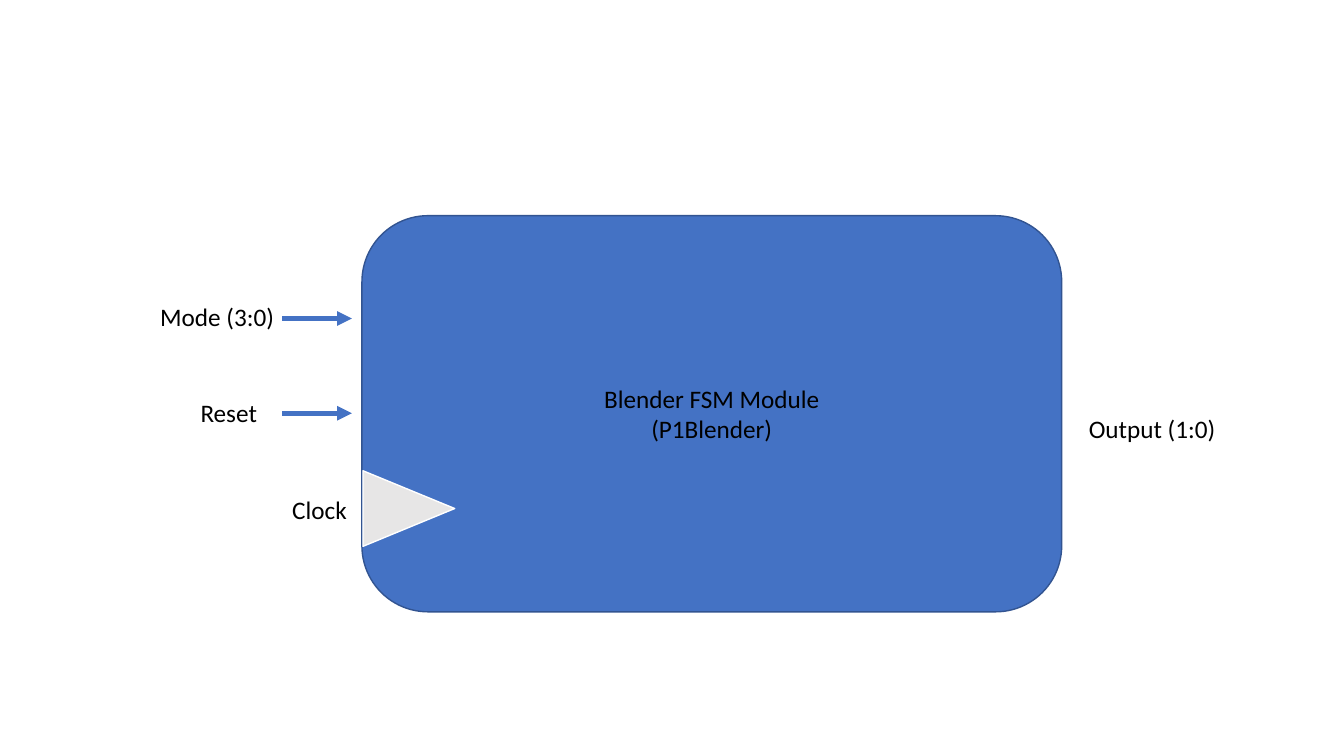
from pptx import Presentation
from pptx.dml.color import RGBColor
from pptx.enum.shapes import MSO_CONNECTOR, MSO_SHAPE
from pptx.enum.text import MSO_AUTO_SIZE, PP_ALIGN
from pptx.oxml.ns import qn
from pptx.util import Inches, Pt
from lxml.etree import SubElement

BLUE, NAVY, GREY, WHITE, BLACK = "4472C4", "325491", "E7E6E6", "FFFFFF", "000000"
LABEL_HEIGHT = 4


def paint(color_format, hex_color):
    color_format.rgb = RGBColor.from_string(hex_color)


class BlockDiagram:
    """Draws on one slide, with every length in grid cells of a tenth of an inch."""

    font_name, font_size = "Calibri", Pt(18)

    def __init__(self, slide):
        self.slide = slide

    def cells(self, *counts):
        return [Inches(count / 10) for count in counts]

    def block(self, preset, col, row, width, height, fill, outline, rotation=0):
        block = self.slide.shapes.add_shape(preset, *self.cells(col, row, width, height))
        block.shadow.inherit = False
        block.rotation = rotation
        block.fill.solid()
        paint(block.fill.fore_color, fill)
        paint(block.line.color, outline)
        block.line.width = Pt(1)

    def label(self, wording, col, row, width, height=LABEL_HEIGHT, align=PP_ALIGN.LEFT):
        label = self.slide.shapes.add_textbox(*self.cells(col, row, width, height))
        frame = label.text_frame
        frame.word_wrap = True
        frame.auto_size = MSO_AUTO_SIZE.SHAPE_TO_FIT_TEXT
        paragraph = frame.paragraphs[0]
        paragraph.text = wording
        paragraph.alignment = align
        paragraph.font.name = self.font_name
        paragraph.font.size = self.font_size
        paint(paragraph.font.color, BLACK)

    def arrow(self, start, end, row):
        arrow = self.slide.shapes.add_connector(
            MSO_CONNECTOR.STRAIGHT, *self.cells(start, row, end, row))
        paint(arrow.line.color, BLUE)
        arrow.line.width = Pt(3.5)
        SubElement(arrow.line._get_or_add_ln(), qn("a:tailEnd"), type="triangle")
        SubElement(arrow._element.spPr, qn("a:effectLst"))


def main():
    deck = Presentation()
    deck.slide_width, deck.slide_height = Inches(13.33), Inches(7.5)
    blank_layout = deck.slide_layouts[6]
    diagram = BlockDiagram(deck.slides.add_slide(blank_layout))

    diagram.block(MSO_SHAPE.ROUNDED_RECTANGLE, 35.9, 21.4, 69.4, 39.3, BLUE, NAVY)
    diagram.block(MSO_SHAPE.ISOSCELES_TRIANGLE, 36.8, 45.9, 7.5, 9.1, GREY, WHITE, rotation=90)
    diagram.label("Blender FSM Module (P1Blender)", 57.1, 37.5, 27, 7.1, PP_ALIGN.CENTER)

    inputs = [("Mode (3:0)", 14.9), ("Reset", 18.9), ("Clock", 28)]
    for index, (signal, col) in enumerate(inputs):
        diagram.label(signal, col, 29.4 + 9.55 * index, 15.9)
        if signal != "Clock":
            diagram.arrow(28, 34.9, 31.6 + 9.4 * index)
    diagram.label("Output (1:0)", 107, 40.5, 17.1)

    deck.save("out.pptx")


if __name__ == "__main__":
    main()
